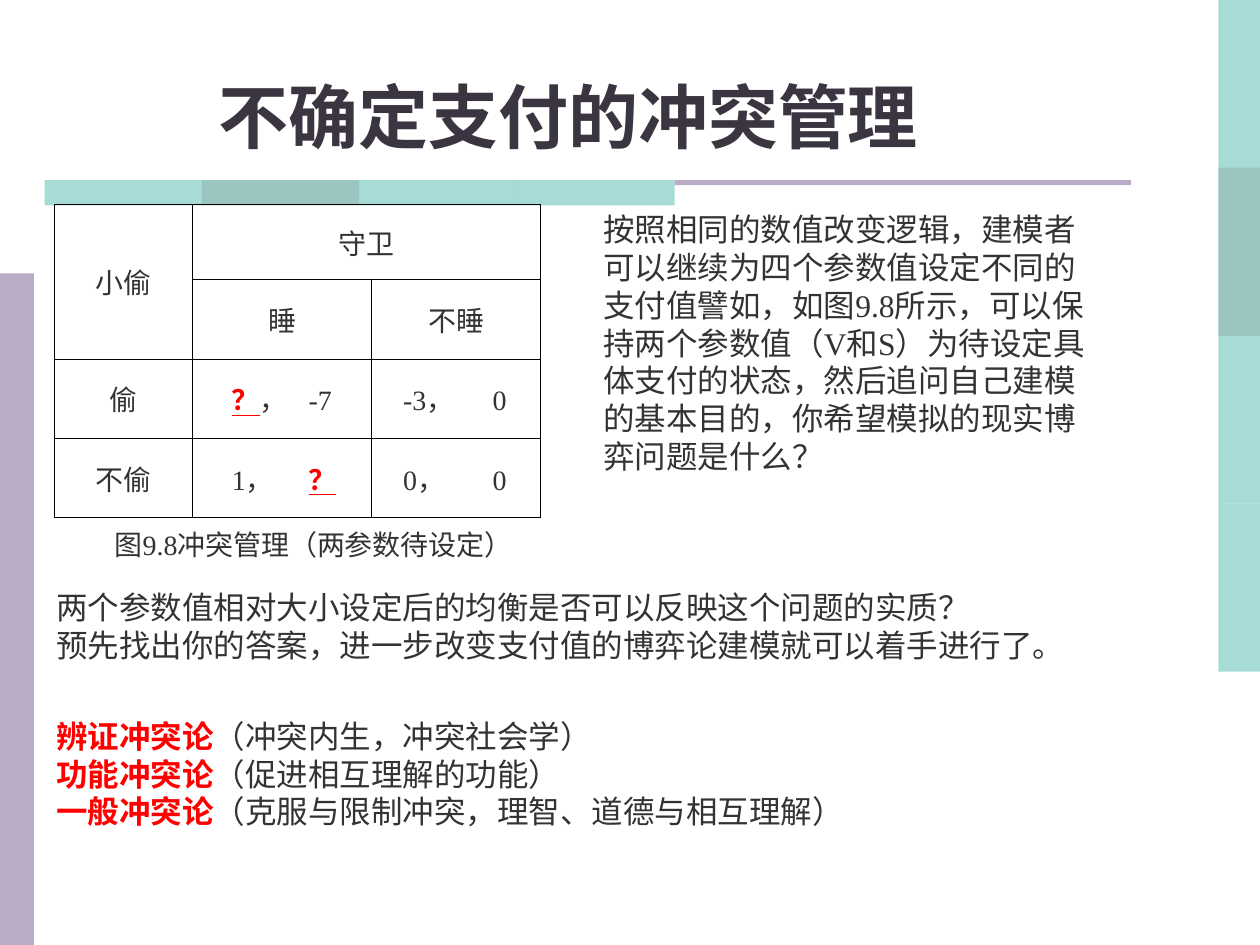
from lxml import etree
from pptx import Presentation
from pptx.dml.color import RGBColor
from pptx.enum.shapes import MSO_SHAPE
from pptx.enum.text import MSO_ANCHOR, PP_ALIGN
from pptx.oxml.ns import qn
from pptx.util import Inches, Pt

RECT = MSO_SHAPE.RECTANGLE
LEFT, CENTER = PP_ALIGN.LEFT, PP_ALIGN.CENTER
TOP, MIDDLE, BOTTOM = MSO_ANCHOR.TOP, MSO_ANCHOR.MIDDLE, MSO_ANCHOR.BOTTOM

FONT = "Times New Roman"
TEAL = RGBColor(0x51, 0xB9, 0xAF)
DEEP = RGBColor(0x39, 0x8D, 0x85)
LILAC = RGBColor(0xB8, 0xAC, 0xC6)
INK = RGBColor(0x33, 0x33, 0x33)
DARK = RGBColor(0x3A, 0x35, 0x41)
RED = RGBColor(0xFF, 0x00, 0x00)
BANDS = [TEAL, DEEP, TEAL, TEAL]

MARK = "？"
COLS = [1.1, 1.42, 1.34]
ROWS = [0.6, 0.63, 0.63, 0.63]
GRID = [
    ["小偷", "守卫", ""],
    ["", "睡", "不睡"],
    ["偷", "？，\t-7", "-3，\t0"],
    ["不偷", "1，\t？", "0，\t0"],
]
# Column: left margin and tab stop of its payoff pairs
PAIRS = {1: (0.31, 0.61), 2: (0.25, 0.71)}

INTRO = ("按照相同的数值改变逻辑，建模者可以继续为四个参数值设定不同的支付值譬如，"
         "如图9.8所示，可以保持两个参数值（V和S）为待设定具体支付的状态，"
         "然后追问自己建模的基本目的，你希望模拟的现实博弈问题是什么？")
ASK = ["两个参数值相对大小设定后的均衡是否可以反映这个问题的实质？",
       "预先找出你的答案，进一步改变支付值的博弈论建模就可以着手进行了。"]
KINDS = [("辨证冲突论", "（冲突内生，冲突社会学）"),
         ("功能冲突论", "（促进相互理解的功能）"),
         ("一般冲突论", "（克服与限制冲突，理智、道德与相互理解）")]


def style(para, size, color=INK, bold=False, align=LEFT):
    para.alignment = align
    font = para.font
    font.name, font.size, font.bold = FONT, Pt(size), bold
    font.color.rgb = color


def add_red(para, text, line=False):
    run = para.add_run()
    run.text = text
    run.font.bold = True
    run.font.color.rgb = RED
    if line:
        run.font.underline = True


def add_bar(slide, x, y, w, h, color, alpha=None):
    bar = slide.shapes.add_shape(RECT, Inches(x), Inches(y), Inches(w), Inches(h))
    bar.shadow.inherit = False
    bar.fill.solid()
    bar.fill.fore_color.rgb = color
    bar.line.fill.background()
    if alpha:
        tone = bar.fill._xPr.find(".//" + qn("a:srgbClr"))
        etree.SubElement(tone, qn("a:alpha")).set("val", str(alpha * 1000))


def add_bands(slide, x, y, w, h, down):
    """Split the box into equal half-transparent bands."""
    part = (h if down else w) / len(BANDS)
    for i, color in enumerate(BANDS):
        if down:
            add_bar(slide, x, y + i * part, w, part, color, 50)
        else:
            add_bar(slide, x + i * part, y, part, h, color, 50)


def add_text(slide, x, y, w, h, lines, size, color=INK, bold=False,
             align=LEFT, anchor=TOP):
    """Each line is plain text or a (red lead, rest) pair."""
    box = slide.shapes.add_textbox(Inches(x), Inches(y), Inches(w), Inches(h))
    frame = box.text_frame
    frame.word_wrap = True
    frame.vertical_anchor = anchor
    for i, line in enumerate(lines):
        para = frame.add_paragraph() if i else frame.paragraphs[0]
        style(para, size, color, bold, align)
        if isinstance(line, tuple):
            lead, line = line
            add_red(para, lead)
        para.add_run().text = line


def add_border(cell):
    props = cell._tc.get_or_add_tcPr()
    for i, side in enumerate(("lnL", "lnR", "lnT", "lnB")):
        line = etree.Element(qn("a:" + side), w=str(Pt(0.45)))
        fill = etree.SubElement(line, qn("a:solidFill"))
        etree.SubElement(fill, qn("a:srgbClr"), val="000000")
        props.insert(i, line)


def fill_cell(cell, text, col):
    cell.fill.background()
    cell.vertical_anchor = MIDDLE
    add_border(cell)
    para = cell.text_frame.paragraphs[0]
    pair = "\t" in text
    if pair:
        margin, stop = PAIRS[col]
        cell.margin_left = Inches(margin)
        tabs = etree.SubElement(para._p.get_or_add_pPr(), qn("a:tabLst"))
        etree.SubElement(tabs, qn("a:tab"), pos=str(Inches(stop)), algn="l")
    style(para, 16, align=LEFT if pair else CENTER)
    # The unknown payoff is red and underlined
    head, mark, tail = text.partition(MARK)
    if head:
        para.add_run().text = head
    if mark:
        add_red(para, mark, line=True)
    if tail:
        para.add_run().text = tail


def add_game(slide, x, y, w, h):
    frame = slide.shapes.add_table(len(ROWS), len(COLS), Inches(x), Inches(y),
                                   Inches(w), Inches(h))
    table = frame.table
    table.first_row = table.horz_banding = False
    for col, size in zip(table.columns, COLS):
        col.width = Inches(size)
    for row, size in zip(table.rows, ROWS):
        row.height = Inches(size)
    table.cell(0, 0).merge(table.cell(1, 0))
    table.cell(0, 1).merge(table.cell(0, 2))
    for r, texts in enumerate(GRID):
        for c, text in enumerate(texts):
            fill_cell(table.cell(r, c), text, c)


def add_frame(slide):
    # Side and title bands
    add_bands(slide, 9.67, 0, 0.33, 5.33, down=True)
    add_bar(slide, 0, 2.17, 0.27, 5.33, LILAC)
    add_bands(slide, 0.355, 1.43, 5, 0.2, down=False)
    add_bar(slide, 5.355, 1.43, 3.62, 0.04, LILAC)


def main():
    deck = Presentation()
    deck.slide_width, deck.slide_height = Inches(10), Inches(7.5)
    slide = deck.slides.add_slide(deck.slide_layouts[6])
    add_frame(slide)
    # Closing question
    add_text(slide, 0.35, 4.62, 8.66, 0.7, ASK, 18)
    # Payoff table and caption
    add_game(slide, 0.43, 1.62, sum(COLS), sum(ROWS))
    add_text(slide, 0.49, 4.14, 4, 0.37, ["图9.8冲突管理（两参数待设定）"], 16,
             align=CENTER)
    # Explanation, title, kinds of conflict theory
    add_text(slide, 4.69, 1.62, 4.02, 2.2, [INTRO], 18)
    add_text(slide, 0, 0.44, 9.02, 0.86, ["不确定支付的冲突管理"], 40, DARK, True,
             CENTER, BOTTOM)
    add_text(slide, 0.35, 5.64, 8.66, 1, KINDS, 18)
    deck.save("out.pptx")


if __name__ == "__main__":
    main()
